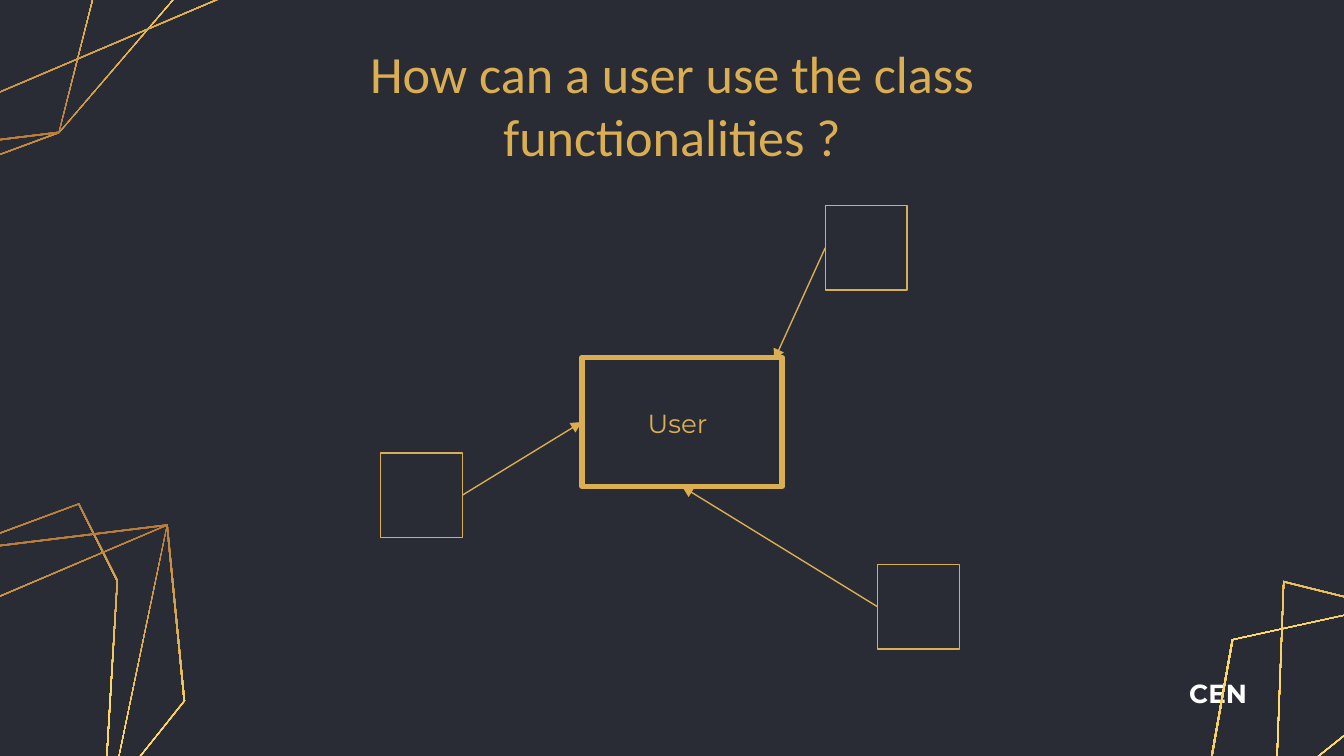
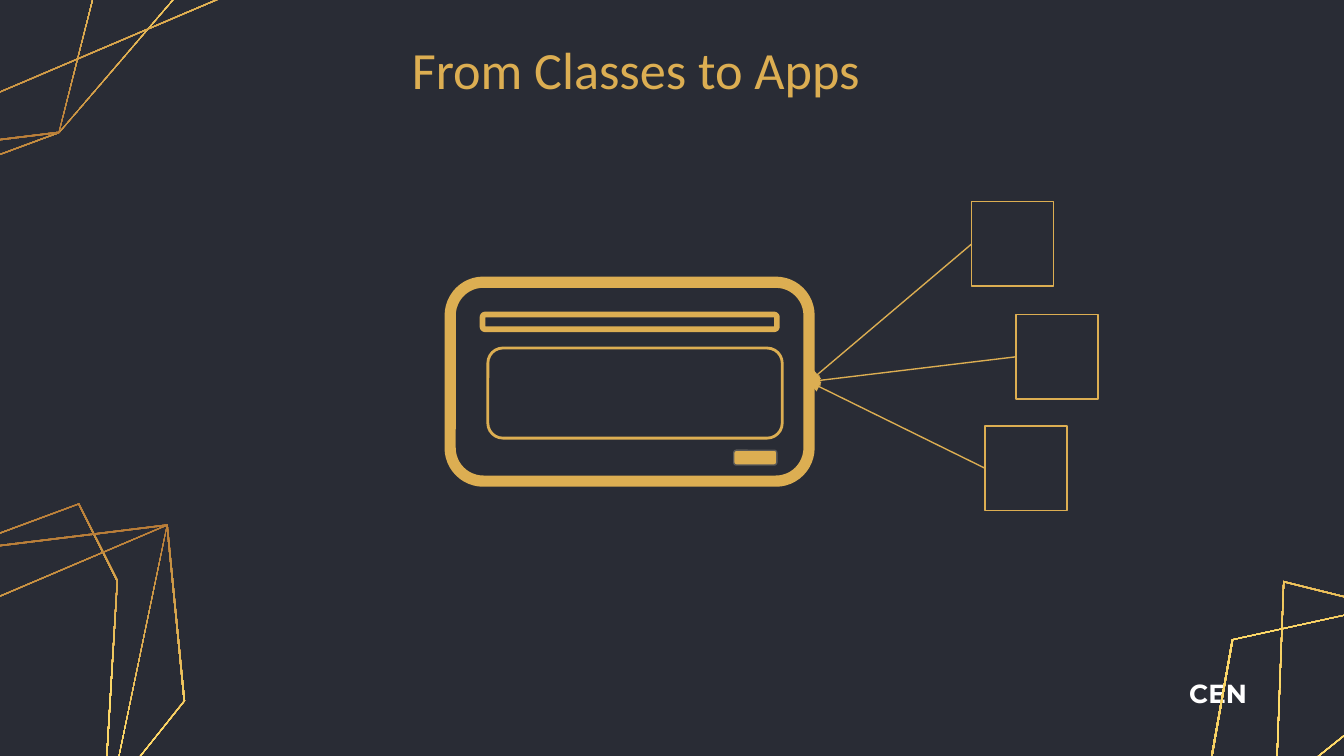
import copy
import math

import pptx
import pptx.dml.color
import pptx.enum.shapes
import pptx.enum.text
import pptx.oxml
import pptx.oxml.ns
import pptx.util
from lxml import etree

Inches = pptx.util.Inches
Shapes = pptx.enum.shapes.MSO_SHAPE
Align = pptx.enum.text.PP_ALIGN
qn = pptx.oxml.ns.qn

DARK, GOLD, WHITE, GREY = "292C35", "DCAE52", "FFFFFF", "595959"
GRADIENT = [(0, "AF7132"), (0.5, "FFDD6B"), (1, GOLD)]
TITLE = {"name": "Calibri", "size": 28, "color": GOLD}
LABEL = {"name": "Montserrat", "size": 14, "color": GOLD}
FOOTER = {**LABEL, "color": WHITE, "bold": True}

TOP, LEFT, BOTTOM, RIGHT = range(4)
CLASS_SIZE = (0.61, 0.63)

# Facets of one crystal, relative to the corner they share
CRYSTAL = [
    [(-0.93, 2.58), (-1.41, 1.35), (0, 0), (0.99, -0.26), (1.22, 0.34), (0.92, 2.23)],
    [(-0.11, 3.07), (-0.93, 2.58), (0, 0), (1.63, -0.04), (0.92, 2.23)],
    [(-0.11, 3.07), (-1.33, 0.89), (1.63, -0.04), (1.63, 1.28)],
]
# Shared corner, rotation, scale
CRYSTAL_PLACES = [
    ((-0.37, 4.1), 354.4, 1),
    ((0.44, 0.99), 174.4, 1),
    ((11.53, 4.24), 31.4, 1.24),
]
FACET_INSET = 0.993


def rgb(value):
    return pptx.dml.color.RGBColor.from_string(value)


def add_text(slide, box, text, style, align=Align.LEFT):
    shape = slide.shapes.add_textbox(*map(Inches, box))
    frame = shape.text_frame
    frame.word_wrap = True
    frame.auto_size = pptx.enum.text.MSO_AUTO_SIZE.SHAPE_TO_FIT_TEXT
    for side in ("left", "top", "right", "bottom"):
        setattr(frame, f"margin_{side}", Inches(0.1))
    paragraph = frame.paragraphs[0]
    paragraph.alignment = align
    run = paragraph.add_run()
    run.text = text
    for name, value in style.items():
        if name == "color":
            run.font.color.rgb = rgb(value)
        else:
            setattr(run.font, name, pptx.util.Pt(value) if name == "size" else value)


def add_box(slide, box, width, kind=Shapes.RECTANGLE, line=GOLD, fill=None):
    shape = slide.shapes.add_shape(kind, *map(Inches, box))
    shape.shadow.inherit = False
    if fill:
        shape.fill.solid()
        shape.fill.fore_color.rgb = rgb(fill)
    else:
        shape.fill.background()
    shape.line.color.rgb = rgb(line)
    shape.line.width = pptx.util.Pt(width)
    return shape


def add_class(slide, left, top):
    return add_box(slide, (left, top, *CLASS_SIZE), 0.75)


def add_arrow(slide, source, side, target=None, target_side=None, end=(0, 0)):
    """Join a side of source to a side of target, or to the free point end."""
    arrow = slide.shapes.add_connector(
        pptx.enum.shapes.MSO_CONNECTOR.STRAIGHT, 0, 0, *map(Inches, end))
    arrow.begin_connect(source, side)
    if target is not None:
        arrow.end_connect(target, target_side)
    arrow.line.color.rgb = rgb(GOLD)
    arrow.line.width = pptx.util.Pt(0.75)
    line = arrow.element.spPr.find(qn("a:ln"))
    etree.SubElement(line, qn("a:tailEnd"), type="triangle")
    etree.SubElement(arrow.element.spPr, qn("a:effectLst"))


def fill_gradient(shape):
    shape.fill.gradient()
    shape.fill.gradient_angle = 270
    stop_list = next(shape.element.spPr.iter(qn("a:gsLst")))
    stop_list.append(copy.deepcopy(stop_list[0]))
    for stop, (position, color) in zip(shape.fill.gradient_stops, GRADIENT):
        stop.position = position
        stop.color.rgb = rgb(color)


def add_facet(slide, points, corner, rotation, scale):
    """Draw a thin closed outline, turned about the crystal's shared corner."""
    center = [(min(axis) + max(axis)) / 2 for axis in zip(*points)]
    angle = math.radians(rotation)
    x, y = (scale * value for value in center)
    middle = (corner[0] + x * math.cos(angle) - y * math.sin(angle),
              corner[1] + x * math.sin(angle) + y * math.cos(angle))

    def contour(factor):
        return [tuple(Inches(m + (p - c) * factor)
                      for m, p, c in zip(middle, point, center)) for point in points]

    outer, inner = contour(scale), contour(scale * FACET_INSET)
    builder = slide.shapes.build_freeform(*outer[0])
    builder.add_line_segments(outer[1:], close=True)
    builder.move_to(*inner[0])
    builder.add_line_segments(inner[1:], close=True)
    shape = builder.convert_to_shape()
    shape.rotation = rotation
    shape.shadow.inherit = False
    shape.line.fill.background()
    fill_gradient(shape)


def add_base_slide(presentation, title, title_box):
    slide = presentation.slides.add_slide(presentation.slide_layouts[6])
    slide.background.fill.solid()
    slide.background.fill.fore_color.rgb = rgb(DARK)
    add_text(slide, (8.75, 4.94, 0.95, 0.44), "CEN", FOOTER)
    for place in CRYSTAL_PLACES:
        for facet in CRYSTAL:
            add_facet(slide, facet, *place)
    add_text(slide, title_box, title, TITLE, Align.CENTER)
    return slide


def add_user_diagram(slide, left, top):
    upper = add_class(slide, left + 3.31, top)
    lower = add_class(slide, left + 3.7, top + 2.67)
    side = add_class(slide, left, top + 1.84)
    user = add_box(slide, (left + 1.5, top + 1.13, 1.49, 0.96), 3)
    add_text(slide, (left + 1.89, top + 1.4, 0.71, 0.44), "User", LABEL)
    add_arrow(slide, upper, LEFT, end=(left + 2.93, top + 1.15))
    add_arrow(slide, lower, LEFT, user, BOTTOM)
    add_arrow(slide, side, RIGHT, user, LEFT)


def add_app_window(slide, left, top):
    rounded = Shapes.ROUNDED_RECTANGLE
    window = add_box(slide, (left, top, 2.67, 1.48), 6, rounded)
    add_box(slide, (left + 2.11, top + 1.25, 0.32, 0.11), 0.75, rounded, GREY, GOLD)
    add_box(slide, (left + 0.24, top + 0.24, 2.19, 0.11), 3, rounded)
    add_box(slide, (left + 0.28, top + 0.49, 2.19, 0.67), 1.5, rounded)
    return window


def add_app_diagram(slide, left, top):
    window = add_app_window(slide, left, top)
    offsets = [(3.88, -0.6), (4.21, 0.24), (3.98, 1.07)]
    classes = [add_class(slide, left + x, top + y) for x, y in offsets]
    for shape in classes:
        add_arrow(slide, shape, LEFT, window, RIGHT)


def main():
    presentation = pptx.Presentation()
    presentation.slide_width = Inches(10)
    presentation.slide_height = Inches(10) * 9 // 16
    slide = add_base_slide(presentation, "How can a user use the class functionalities ?",
                           (2.4, 0.21, 5.2, 1.14))
    add_user_diagram(slide, 2.83, 1.53)
    slide = add_base_slide(presentation, "From Classes to Apps", (2.13, 0.18, 5.2, 0.67))
    add_app_diagram(slide, 3.35, 2.1)
    presentation.save("out.pptx")


if __name__ == "__main__":
    main()
